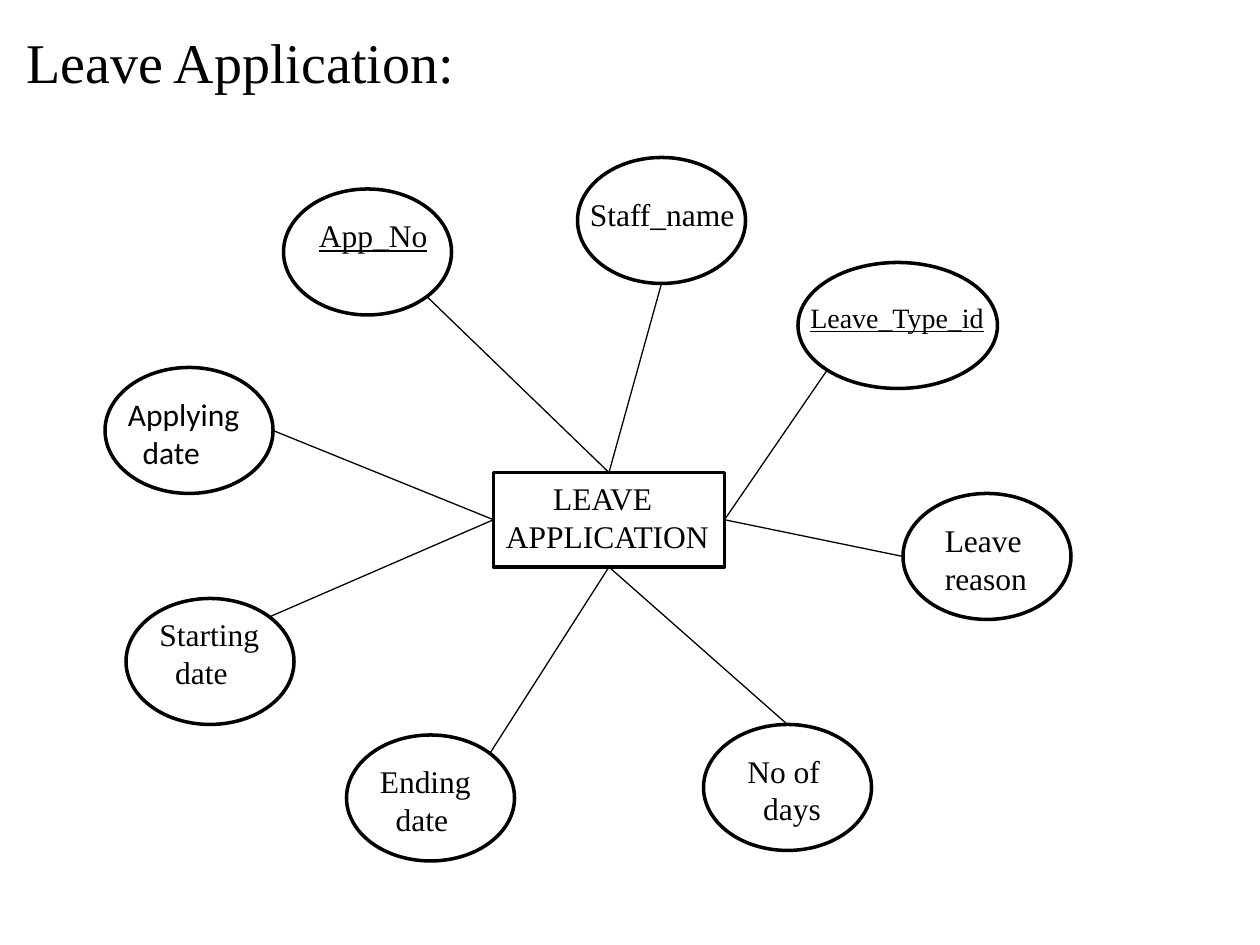
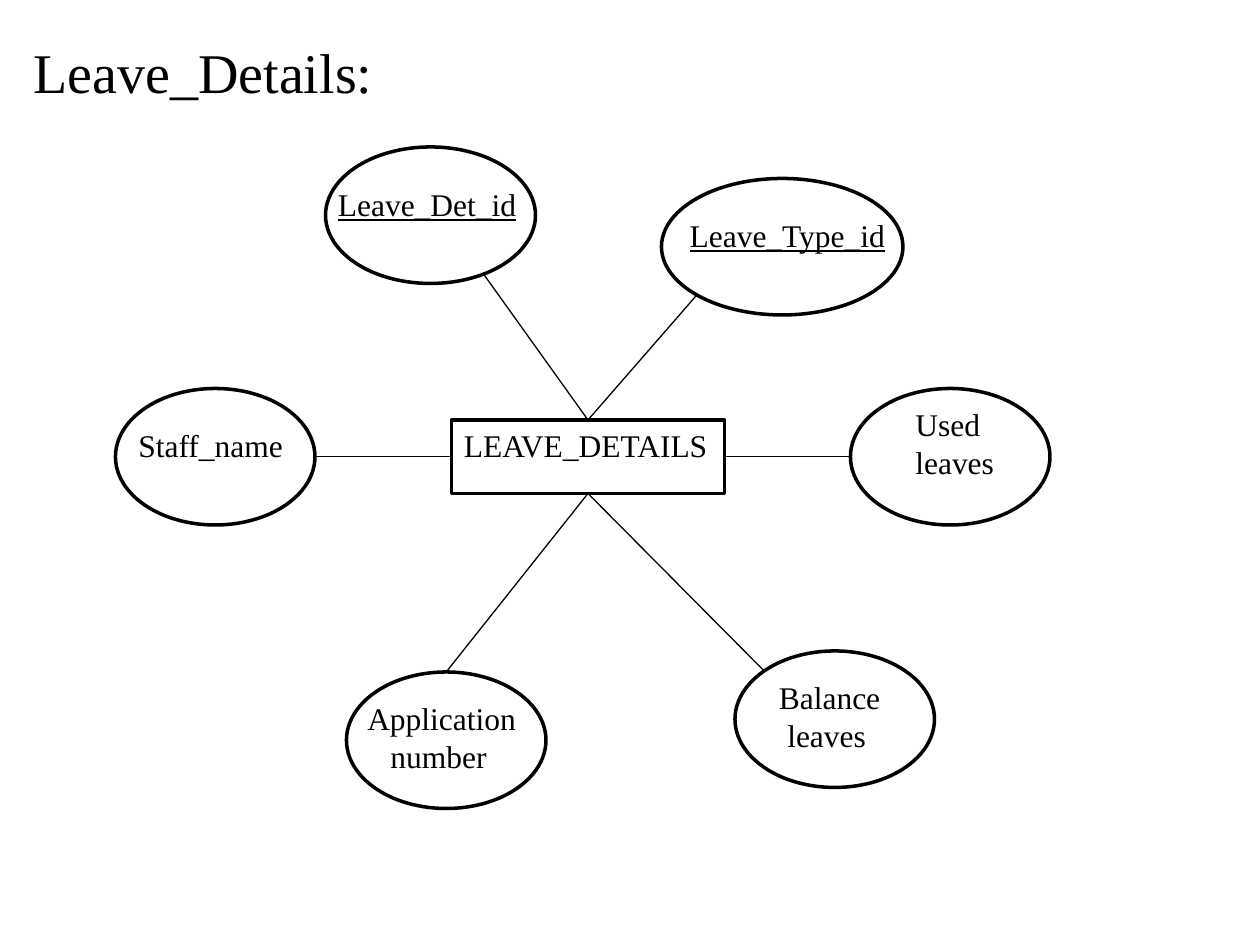
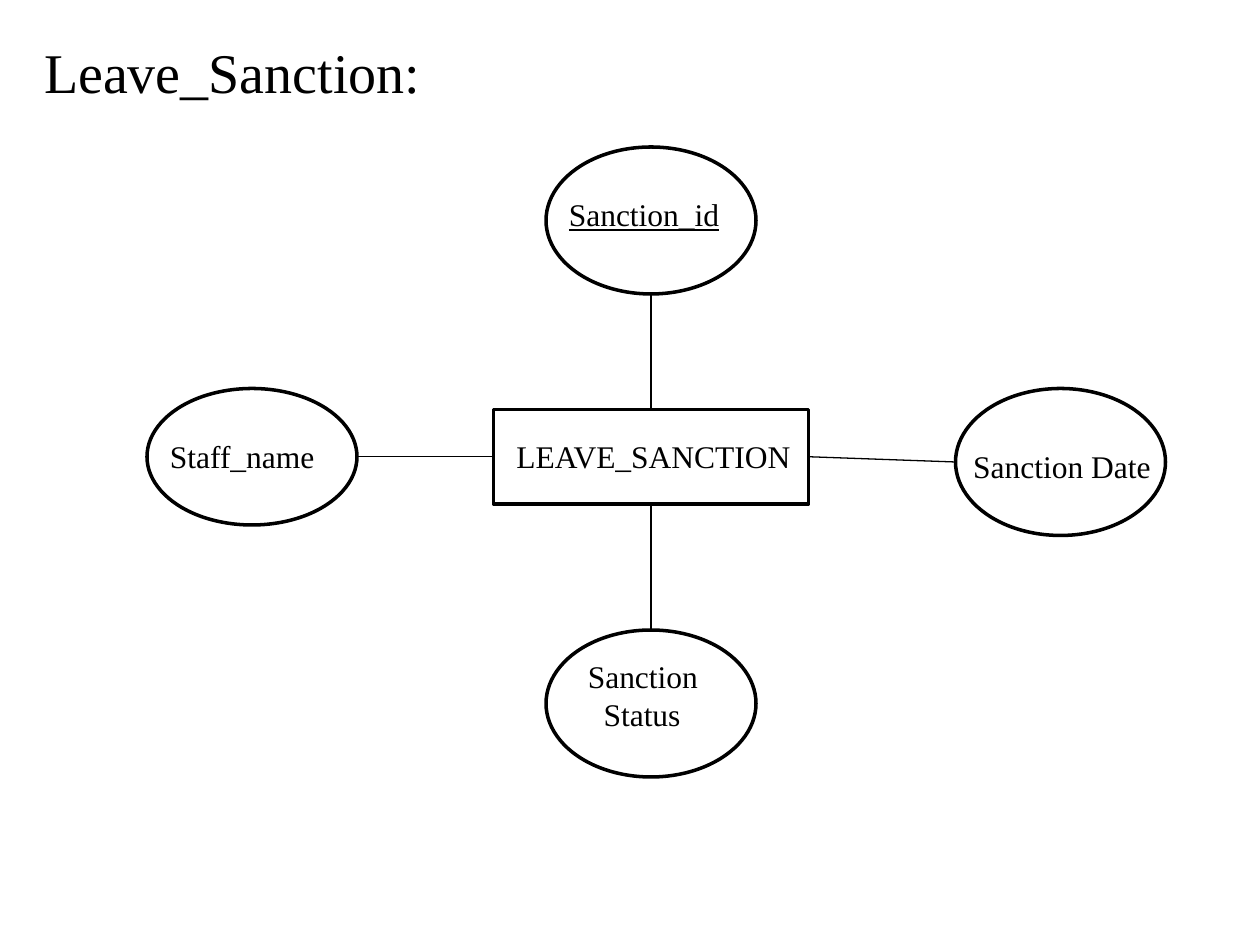
from dataclasses import dataclass
from math import sqrt

from lxml import etree
from pptx import Presentation
from pptx.dml.color import RGBColor
from pptx.enum.shapes import MSO_CONNECTOR, MSO_SHAPE
from pptx.enum.text import MSO_ANCHOR, MSO_AUTO_SIZE, PP_ALIGN
from pptx.oxml.ns import qn
from pptx.util import Pt

PX = 7620  # EMU per px, 120 px to the inch
TITLE_ONLY = 5
RECTANGLE, OVAL = MSO_SHAPE.RECTANGLE, MSO_SHAPE.OVAL
STRAIGHT = MSO_CONNECTOR.STRAIGHT
TOP, LEFT = MSO_ANCHOR.TOP, PP_ALIGN.LEFT
NO_AUTOSIZE = MSO_AUTO_SIZE.NONE

# Points on an outline, as shares of half the width and half the height
DIAGONAL = sqrt(0.5)
SITES = {
    "top": (0, -1), "bottom": (0, 1), "left": (-1, 0), "right": (1, 0),
    "top left": (-DIAGONAL, -DIAGONAL), "top right": (DIAGONAL, -DIAGONAL),
    "bottom left": (-DIAGONAL, DIAGONAL), "bottom right": (DIAGONAL, DIAGONAL),
    "low right": (0.5, 0.85),
}


@dataclass(frozen=True)
class Theme:
    ink: RGBColor = RGBColor(0, 0, 0)
    paper: RGBColor = RGBColor(255, 255, 255)
    font: str = "Times New Roman"
    alternate_font: str = "Calibri"
    title_size: int = 32
    label_size: int = 18
    small_size: int = 16
    outline: float = 2
    link: float = 0.75


THEME = Theme()
KEY = {"underline": True}
SMALL_KEY = {"underline": True, "size": Pt(THEME.small_size)}
ALTERNATE = {"name": THEME.alternate_font}


@dataclass
class Label:
    """Lines of text; an indent in px may be given for each line."""
    left: int
    top: int
    width: int
    lines: tuple
    indents: tuple = (0, 0)
    style: dict = None


@dataclass
class Attribute:
    """An oval joined at its site to a side of the entity."""
    box: tuple
    side: str
    site: str
    label: Label


@dataclass
class Diagram:
    title: str
    title_box: tuple
    entity: tuple
    entity_label: Label
    attributes: list


def site_point(box, site):
    left, top, width, height = box
    across, down = SITES[site]
    return (left + width / 2 * (1 + across), top + height / 2 * (1 + down))


def emu(*lengths):
    return [round(length * PX) for length in lengths]


class DiagramBuilder:
    def __init__(self, presentation, theme):
        self.presentation = presentation
        self.theme = theme
        self.slide = None

    def format_font(self, font, **values):
        font.color.rgb = self.theme.ink
        settings = {"name": self.theme.font, "size": Pt(self.theme.label_size), **values}
        for name, value in settings.items():
            setattr(font, name, value)

    def format_frame(self, frame):
        settings = {"word_wrap": True, "auto_size": NO_AUTOSIZE, "vertical_anchor": TOP}
        for name, value in settings.items():
            setattr(frame, name, value)

    def title(self, text, box):
        layout = self.presentation.slide_layouts[TITLE_ONLY]
        self.slide = self.presentation.slides.add_slide(layout)
        title = self.slide.shapes.title
        for name, value in zip(("left", "top", "width", "height"), emu(*box)):
            setattr(title, name, value)
        title.text = text
        self.format_frame(title.text_frame)
        paragraph = title.text_frame.paragraphs[0]
        paragraph.alignment = LEFT
        self.format_font(paragraph.runs[0].font, size=Pt(self.theme.title_size))

    def outline(self, preset, box):
        shape = self.slide.shapes.add_shape(preset, *emu(*box))
        shape.shadow.inherit = False
        shape.fill.solid()
        shape.fill.fore_color.rgb = self.theme.paper
        shape.line.color.rgb = self.theme.ink
        shape.line.width = Pt(self.theme.outline)

    def link(self, start, end):
        connector = self.slide.shapes.add_connector(STRAIGHT, *emu(*start, *end))
        connector.line.color.rgb = self.theme.ink
        connector.line.width = Pt(self.theme.link)
        etree.SubElement(connector._element.spPr, qn("a:effectLst"))

    def label(self, label):
        height = 11 + 37 * len(label.lines)
        box = emu(label.left, label.top, label.width, height)
        frame = self.slide.shapes.add_textbox(*box).text_frame
        self.format_frame(frame)
        for index, (text, indent) in enumerate(zip(label.lines, label.indents)):
            paragraph = frame.add_paragraph() if index else frame.paragraphs[0]
            paragraph._p.get_or_add_pPr().set("marL", str(indent * PX))
            run = paragraph.add_run()
            run.text = text
            self.format_font(run.font, **(label.style or {}))

    def draw(self, diagram):
        self.title(diagram.title, diagram.title_box)
        self.outline(RECTANGLE, diagram.entity)
        for attribute in diagram.attributes:
            self.outline(OVAL, attribute.box)
            self.link(site_point(diagram.entity, attribute.side),
                      site_point(attribute.box, attribute.site))
        for label in [diagram.entity_label] + [item.label for item in diagram.attributes]:
            self.label(label)


DIAGRAMS = [
    Diagram(
        "Leave Application:", (13, 20, 450, 77), (470, 450, 220, 90),
        Label(470, 450, 394, ("LEAVE", "APPLICATION"), (45, 0)),
        [
            Attribute((760, 250, 190, 120), "right", "bottom left",
                      Label(760, 280, 190, ("Leave_Type_id",), style=SMALL_KEY)),
            Attribute((550, 150, 160, 120), "top", "bottom",
                      Label(550, 180, 178, ("Staff_name",))),
            Attribute((270, 180, 160, 120), "top", "bottom right",
                      Label(292, 200, 158, ("App_No",), style=KEY)),
            Attribute((100, 350, 160, 120), "left", "right",
                      Label(110, 370, 151, ("Applying", "date"), (0, 14), ALTERNATE)),
            Attribute((120, 570, 160, 120), "left", "top right",
                      Label(140, 580, 131, ("Starting", "date"), (0, 15))),
            Attribute((330, 700, 160, 120), "bottom", "top right",
                      Label(350, 720, 158, ("Ending", "date"), (0, 15))),
            Attribute((670, 690, 160, 120), "bottom", "top",
                      Label(700, 710, 220, ("No of", "days"), (0, 15))),
            Attribute((860, 470, 160, 120), "right", "left",
                      Label(888, 490, 220, ("Leave", "reason"))),
        ]),
    Diagram(
        "Leave_Details:", (20, 30, 380, 77), (430, 400, 260, 70),
        Label(430, 400, 343, ("LEAVE_DETAILS",)),
        [
            Attribute((310, 140, 200, 130), "top", "low right",
                      Label(310, 170, 320, ("Leave_Det_id",), style=KEY)),
            Attribute((630, 170, 230, 130), "top", "bottom left",
                      Label(645, 200, 431, ("Leave_Type_id",), style=KEY)),
            Attribute((810, 370, 190, 130), "right", "left",
                      Label(860, 380, 200, ("Used", "leaves"))),
            Attribute((700, 620, 190, 130), "bottom", "top left",
                      Label(730, 640, 320, ("Balance", "leaves"), (0, 8))),
            Attribute((330, 640, 190, 130), "bottom", "top",
                      Label(338, 660, 345, ("Application", "number"), (0, 22))),
            Attribute((110, 370, 190, 130), "left", "right",
                      Label(120, 400, 185, ("Staff_name",))),
        ]),
    Diagram(
        "Leave_Sanction:", (30, 30, 456, 77), (470, 390, 300, 90),
        Label(480, 410, 330, ("LEAVE_SANCTION",)),
        [
            Attribute((910, 370, 200, 140), "right", "left",
                      Label(915, 420, 285, ("Sanction Date",))),
            Attribute((520, 600, 200, 140), "bottom", "top",
                      Label(548, 620, 172, ("Sanction", "Status"), (0, 15))),
            Attribute((520, 140, 200, 140), "top", "bottom",
                      Label(530, 180, 288, ("Sanction_id",), style=KEY)),
            Attribute((140, 370, 200, 130), "left", "right",
                      Label(150, 410, 196, ("Staff_name",))),
        ]),
]


def main():
    presentation = Presentation()
    presentation.slide_width, presentation.slide_height = emu(1200, 900)
    builder = DiagramBuilder(presentation, THEME)
    for diagram in DIAGRAMS:
        builder.draw(diagram)
    presentation.save("out.pptx")


if __name__ == "__main__":
    main()
